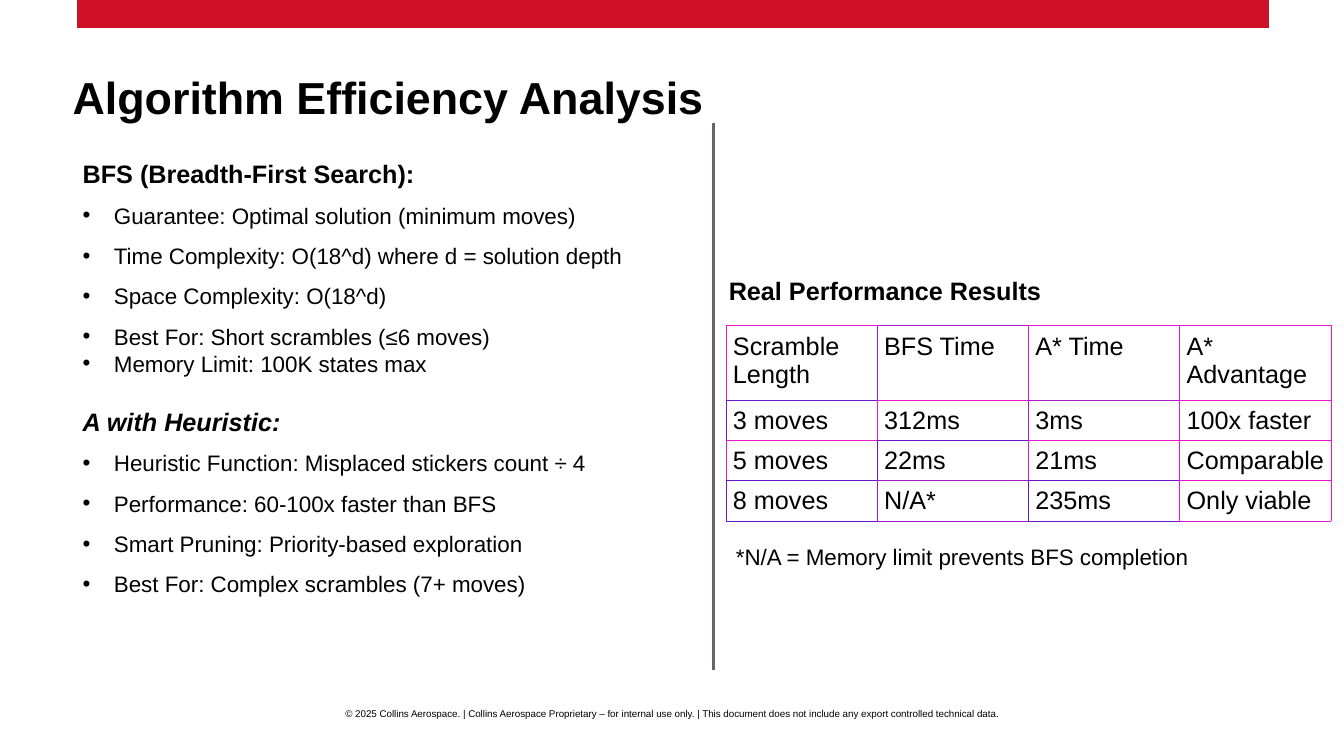
from lxml import etree
from pptx import Presentation
from pptx.dml.color import RGBColor
from pptx.enum.shapes import MSO_CONNECTOR
from pptx.enum.text import MSO_ANCHOR, MSO_AUTO_SIZE, PP_ALIGN
from pptx.oxml.ns import qn
from pptx.util import Inches, Pt

BLACK = RGBColor(0x00, 0x00, 0x00)
RED = RGBColor(0xCE, 0x11, 0x26)
GRAY = RGBColor(0x63, 0x66, 0x6A)

TITLE = "Algorithm Efficiency Analysis"
FOOTER = ("© 2025 Collins Aerospace. | Collins Aerospace Proprietary – for internal use only. | "
          "This document does not include any export controlled technical data.")
RESULTS_HEADING = "Real Performance Results"
RESULTS_NOTE = "*N/A = Memory limit prevents BFS completion"
SECTIONS = [
    ("BFS (Breadth-First Search):", False, [
        ("Guarantee: Optimal solution (minimum moves)", 1.5),
        ("Time Complexity: O(18^d) where d = solution depth", 1.5),
        ("Space Complexity: O(18^d)", 1.5),
        ("Best For: Short scrambles (≤6 moves)", 1.5),
        ("Memory Limit: 100K states max", 1.0),
    ]),
    ("A with Heuristic:", True, [
        ("Heuristic Function: Misplaced stickers count ÷ 4", 1.5),
        ("Performance: 60-100x faster than BFS", 1.5),
        ("Smart Pruning: Priority-based exploration", 1.5),
        ("Best For: Complex scrambles (7+ moves)", 1.5),
    ]),
]
RESULTS = [
    ["Scramble Length", "BFS Time", "A* Time", "A* Advantage"],
    ["3 moves", "312ms", "3ms", "100x faster"],
    ["5 moves", "22ms", "21ms", "Comparable"],
    ["8 moves", "N/A*", "235ms", "Only viable"],
]
BORDERS = [
    ["E818CD", "A819CD", "E817CD", "E817CD"],
    ["681ACD", "E817CD", "A81ACD", "E817CD"],
    ["E816CD", "6814CD", "E817CD", "E814CD"],
    ["6818CD", "A819CD", "6815CD", "E814CD"],
]
ROW_HEIGHTS = [0.74, 0.4, 0.4, 0.4]
COL_WIDTH = 1.5


def write(p, text, size=16, bold=False, italic=False, align=PP_ALIGN.LEFT,
          spacing=1.0, before=0, bullet=False):
    """Fill a paragraph with one formatted run."""
    pPr = p._p.get_or_add_pPr()
    indent = Inches(0.31) if bullet else 0
    pPr.set("marL", str(indent))
    pPr.set("indent", str(-indent))
    p.alignment, p.line_spacing, p.space_before, p.space_after = align, spacing, Pt(before), Pt(0)
    if bullet:
        etree.SubElement(pPr, qn("a:buFont")).set("typeface", "Arial")
        etree.SubElement(pPr, qn("a:buChar")).set("char", "•")
    else:
        etree.SubElement(pPr, qn("a:buNone"))
    r = p.add_run()
    r.text = text
    font = r.font
    font.name, font.size, font.bold, font.italic = "Arial", Pt(size), bold, italic
    font.color.rgb = BLACK


def place(sp, left, top, width, height):
    """Position a shape in inches."""
    sp.left, sp.top, sp.width, sp.height = map(Inches, (left, top, width, height))


def set_frame(tf, inset=None, anchor=MSO_ANCHOR.TOP):
    """Set wrapping, anchoring and insets of a text frame."""
    tf.word_wrap, tf.auto_size, tf.vertical_anchor = True, MSO_AUTO_SIZE.NONE, anchor
    if inset is not None:
        tf.margin_left = tf.margin_right = tf.margin_top = tf.margin_bottom = Inches(inset)


def add_text(s, box, text, inset=None, **fmt):
    """Add a text box with one paragraph."""
    tf = s.shapes.add_textbox(*map(Inches, box)).text_frame
    set_frame(tf, inset)
    write(tf.paragraphs[0], text, **fmt)


def add_line(s, x1, y1, x2, y2, color, width):
    """Add a straight line without shadow."""
    line = s.shapes.add_connector(MSO_CONNECTOR.STRAIGHT, *map(Inches, (x1, y1, x2, y2)))
    line.line.color.rgb, line.line.width = color, Pt(width)
    etree.SubElement(line._element.spPr, qn("a:effectLst"))


def set_borders(cell, colors):
    """Draw the left, right, top and bottom borders of a cell."""
    tcPr = cell._tc.get_or_add_tcPr()
    for i, (side, color) in enumerate(zip("LRTB", colors)):
        ln = etree.Element(qn(f"a:ln{side}"), w=str(Pt(0.6)))
        fill = etree.SubElement(ln, qn("a:solidFill"))
        etree.SubElement(fill, qn("a:srgbClr")).set("val", color)
        tcPr.insert(i, ln)


def add_results(s):
    """Add the table of measured times."""
    rows, cols = len(RESULTS), len(RESULTS[0])
    frame = s.shapes.add_table(rows, cols, Inches(7.2), Inches(3.23),
                               Inches(COL_WIDTH * cols), Inches(sum(ROW_HEIGHTS)))
    table = frame.table
    table.first_row = table.horz_banding = False
    for col in table.columns:
        col.width = Inches(COL_WIDTH)
    for i, height in enumerate(ROW_HEIGHTS):
        table.rows[i].height = Inches(height)
        for j, text in enumerate(RESULTS[i]):
            cell = table.cell(i, j)
            cell.fill.background()
            cell.margin_left, cell.margin_right = Inches(0.07), Inches(0.05)
            cell.margin_top = cell.margin_bottom = Inches(0.05 if i else 0.07)
            cell.vertical_anchor = MSO_ANCHOR.MIDDLE if i else MSO_ANCHOR.TOP
            write(cell.text_frame.paragraphs[0], text, size=18)
            own = BORDERS[i][j]
            right = BORDERS[i][min(j + 1, cols - 1)]
            below = BORDERS[min(i + 1, rows - 1)][j]
            set_borders(cell, (own, right, own, below))


def main():
    """Build the slide and save it."""
    prs = Presentation()
    prs.slide_width, prs.slide_height = Inches(13.33), Inches(7.5)
    s = prs.slides.add_slide(prs.slide_layouts[1])
    title, body = s.shapes.title, s.placeholders[1]

    add_line(s, 0.76, 0.14, 12.59, 0.14, RED, 20)
    place(title, 0.72, 0.78, 6.36, 0.44)
    set_frame(title.text_frame, 0, MSO_ANCHOR.BOTTOM)
    write(title.text_frame.paragraphs[0], TITLE, size=32, bold=True, spacing=0.8)

    place(body, 0.72, 1.52, 5.76, 4.46)
    tf = body.text_frame
    set_frame(tf)
    for i, (heading, italic, points) in enumerate(SECTIONS):
        p = tf.add_paragraph() if i else tf.paragraphs[0]
        write(p, heading, size=18, bold=True, italic=italic, before=21 if i else 0)
        for text, spacing in points:
            write(tf.add_paragraph(), text, spacing=spacing, bullet=True)

    add_results(s)
    add_text(s, (7.13, 2.68, 6.1, 0.4), RESULTS_HEADING, size=18, bold=True)
    add_line(s, 7.08, 1.22, 7.08, 6.65, GRAY, 2.25)
    add_text(s, (7.2, 5.34, 6.1, 0.37), RESULTS_NOTE)
    add_text(s, (0, 7.02, 13.33, 0.11), FOOTER, inset=0, size=7, align=PP_ALIGN.CENTER)
    prs.save("out.pptx")


if __name__ == "__main__":
    main()
